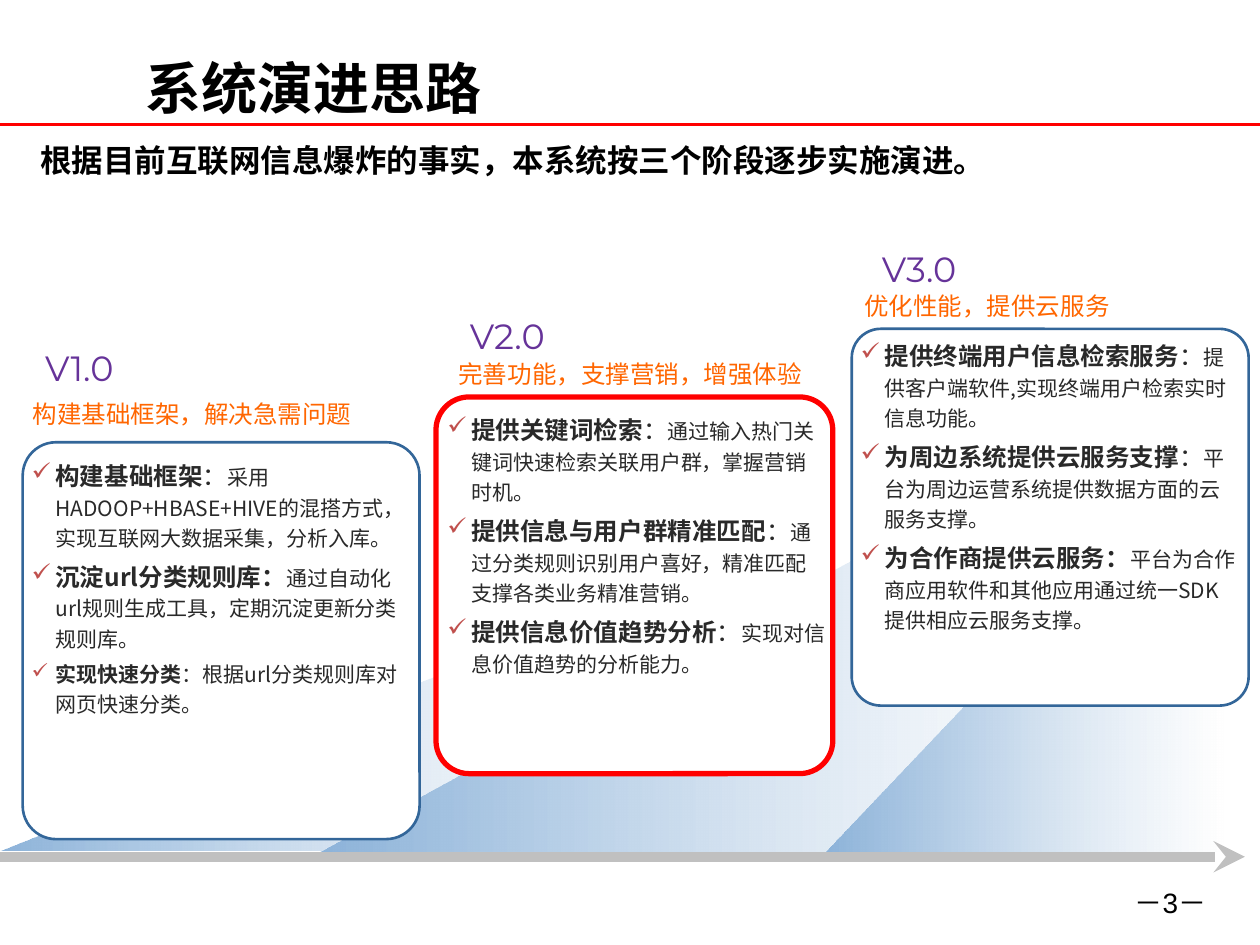
"""Build the slide on the three stages of the system's evolution."""
from lxml.etree import SubElement
from pptx import Presentation
from pptx.dml.color import RGBColor
from pptx.enum.shapes import MSO_CONNECTOR, MSO_SHAPE
from pptx.enum.text import MSO_ANCHOR, PP_ALIGN
from pptx.oxml.ns import qn
from pptx.util import Inches, Pt

COLORS = {
    "black": "000000", "white": "FFFFFF", "red": "FF0000", "blue": "336699",
    "sky": "8EB4DA", "gray": "C0C0C0", "orange": "FF6600",
    "purple": "663399", "body": "292929", "check": "C0504D",
}
CJK = "Noto Sans CJK SC"


def add_run(p, text, size, color, bold=False, font=CJK):
    """Append a formatted run to a paragraph."""
    r = p.add_run()
    r.text = text
    r.font.size = Pt(size)
    r.font.bold = bold
    r.font.color.rgb = RGBColor.from_string(COLORS[color])
    r.font.name = font
    SubElement(r.font._element, qn("a:ea"), typeface=font)


def add_text(box, margin=0.1):
    """Add a wrapping text box and return its text frame."""
    tf = s.shapes.add_textbox(*map(Inches, box)).text_frame
    tf.word_wrap = True
    tf.margin_left = tf.margin_right = Inches(margin)
    tf.margin_top = tf.margin_bottom = Inches(0.05)
    return tf


prs = Presentation()
prs.slide_width, prs.slide_height = Inches(10), Inches(7.5)
s = prs.slides.add_slide(prs.slide_layouts[6])

triangles = [(0, 4.8, 4.87, 1.95), (2.54, 3.43, 6.07, 3.33), (6.55, 3.43, 3.16, 3.33)]
for box in triangles:
    sp = s.shapes.add_shape(MSO_SHAPE.RIGHT_TRIANGLE, *map(Inches, box))
    sp.shadow.inherit = False
    sp.line.fill.background()
    sp._element.spPr.find(qn("a:xfrm")).set("flipH", "1")
    sp.fill.gradient()
    sp.fill.gradient_angle = 180
    for stop, position, color in zip(sp.fill.gradient_stops, (0, 1), ("sky", "white")):
        stop.position = position
        stop.color.rgb = RGBColor.from_string(COLORS[color])
    last_color = sp._element.spPr.findall(".//" + qn("a:srgbClr"))[-1]
    SubElement(last_color, qn("a:alpha"), val="70000")

rules = [(0, 10, 0.99, "red", 2, None), (0, 9.88, 6.8, "gray", 6, "stealth")]
for left, right, y, color, width, arrow in rules:
    line = s.shapes.add_connector(
        MSO_CONNECTOR.STRAIGHT, Inches(left), Inches(y), Inches(right), Inches(y))
    line.line.color.rgb = RGBColor.from_string(COLORS[color])
    line.line.width = Pt(width)
    if arrow:
        SubElement(line.line._get_or_add_ln(), qn("a:tailEnd"), type=arrow)
    SubElement(line._element.spPr, qn("a:effectLst"))

tf = add_text((1.06, 0, 6.06, 1.01))
tf.vertical_anchor = MSO_ANCHOR.BOTTOM
add_run(tf.paragraphs[0], "系统演进思路", 32, "black", True)

p = add_text((0.22, 1.07, 9.52, 0.87)).paragraphs[0]
p.space_before = Pt(4.5)
add_run(p, "根据目前互联网信息爆炸的事实，本系统按三个阶段逐步实施演进。", 18, "black", True)

p = add_text((8.57, 6.98, 1.1, 0.52)).paragraphs[0]
p.alignment = PP_ALIGN.RIGHT
add_run(p, "－3－", 16, "black", font="Arial")

stages = [
    {
        "version": ("V1.0", (0.26, 2.73, 1.34, 0.42)),
        "goal": ("构建基础框架，解决急需问题", (0.16, 3.14, 3.33, 0.32)),
        "card": ((0.18, 3.51, 3.15, 3.15), 0.084, "blue", 1.5),
        "list": (0.2, 3.56, 3.08, 3.18),
        "items": [
            ("构建基础框架", "：", "采用HADOOP+HBASE+HIVE的混搭方式，实现互联网大数据采集，分析入库。", 14),
            ("沉淀url分类规则库：", "", "通过自动化url规则生成工具，定期沉淀更新分类规则库。", 14),
            ("实现快速分类", "：", "根据url分类规则库对网页快速分类。", 12),
        ],
    },
    {
        "version": ("V2.0", (3.63, 2.47, 1.05, 0.42)),
        "goal": ("完善功能，支撑营销，增强体验", (3.54, 2.82, 3.15, 0.32)),
        "card": ((3.46, 3.15, 3.15, 2.99), 0.088, "red", 3),
        "list": (3.5, 3.2, 3.11, 2.96),
        "items": [
            ("提供关键词检索", "：", "通过输入热门关键词快速检索关联用户群，掌握营销时机。", 14),
            ("提供信息与用户群精准匹配", "：", "通过分类规则识别用户喜好，精准匹配支撑各类业务精准营销。", 14),
            ("提供信息价值趋势分析", "：", "实现对信息价值趋势的分析能力。", 14),
        ],
    },
    {
        "version": ("V3.0", (6.9, 1.94, 1.09, 0.42)),
        "goal": ("优化性能，提供云服务", (6.76, 2.28, 3.12, 0.32)),
        "card": ((6.76, 2.61, 3.15, 2.99), 0.077, "blue", 1.5),
        "list": (6.78, 2.61, 3.1, 2.99),
        "items": [
            ("提供终端用户信息检索服务", "：", "提供客户端软件,实现终端用户检索实时信息功能。", 14),
            ("为周边系统提供云服务支撑", "：", "平台为周边运营系统提供数据方面的云服务支撑。", 14),
            ("为合作商提供云服务：", "", "平台为合作商应用软件和其他应用通过统一SDK提供相应云服务支撑。", 14),
        ],
    },
]

for stage in stages:
    box, radius, color, width = stage["card"]
    sp = s.shapes.add_shape(MSO_SHAPE.ROUNDED_RECTANGLE, *map(Inches, box))
    sp.shadow.inherit = False
    sp.adjustments[0] = radius
    sp.fill.solid()
    sp.fill.fore_color.rgb = RGBColor.from_string(COLORS["white"])
    sp.line.color.rgb = RGBColor.from_string(COLORS[color])
    sp.line.width = Pt(width)

    headings = [(*stage["version"], 20, 5, "purple", "Montserrat"),
                (*stage["goal"], 14, 3.5, "orange", CJK)]
    for text, box, size, before, color, font in headings:
        p = add_text(box).paragraphs[0]
        p.line_spacing = 0.94
        p.space_before = Pt(before)
        add_run(p, text, size, color, font=font)

    tf = add_text(stage["list"], 0.05)
    for i, (head, colon, detail, size) in enumerate(stage["items"]):
        p = tf.add_paragraph() if i else tf.paragraphs[0]
        p.line_spacing = 1.2
        p.space_before = Pt(3)
        pPr = p._p.get_or_add_pPr()
        pPr.set("marL", str(Inches(0.19)))
        pPr.set("indent", str(Inches(-0.19)))
        SubElement(SubElement(pPr, qn("a:buClr")), qn("a:srgbClr"), val=COLORS["check"])
        SubElement(pPr, qn("a:buChar"), char="✓")
        add_run(p, head, size, "body", True)
        if colon:
            add_run(p, colon, size, "body")
        add_run(p, detail, 12, "body")

prs.save("out.pptx")
